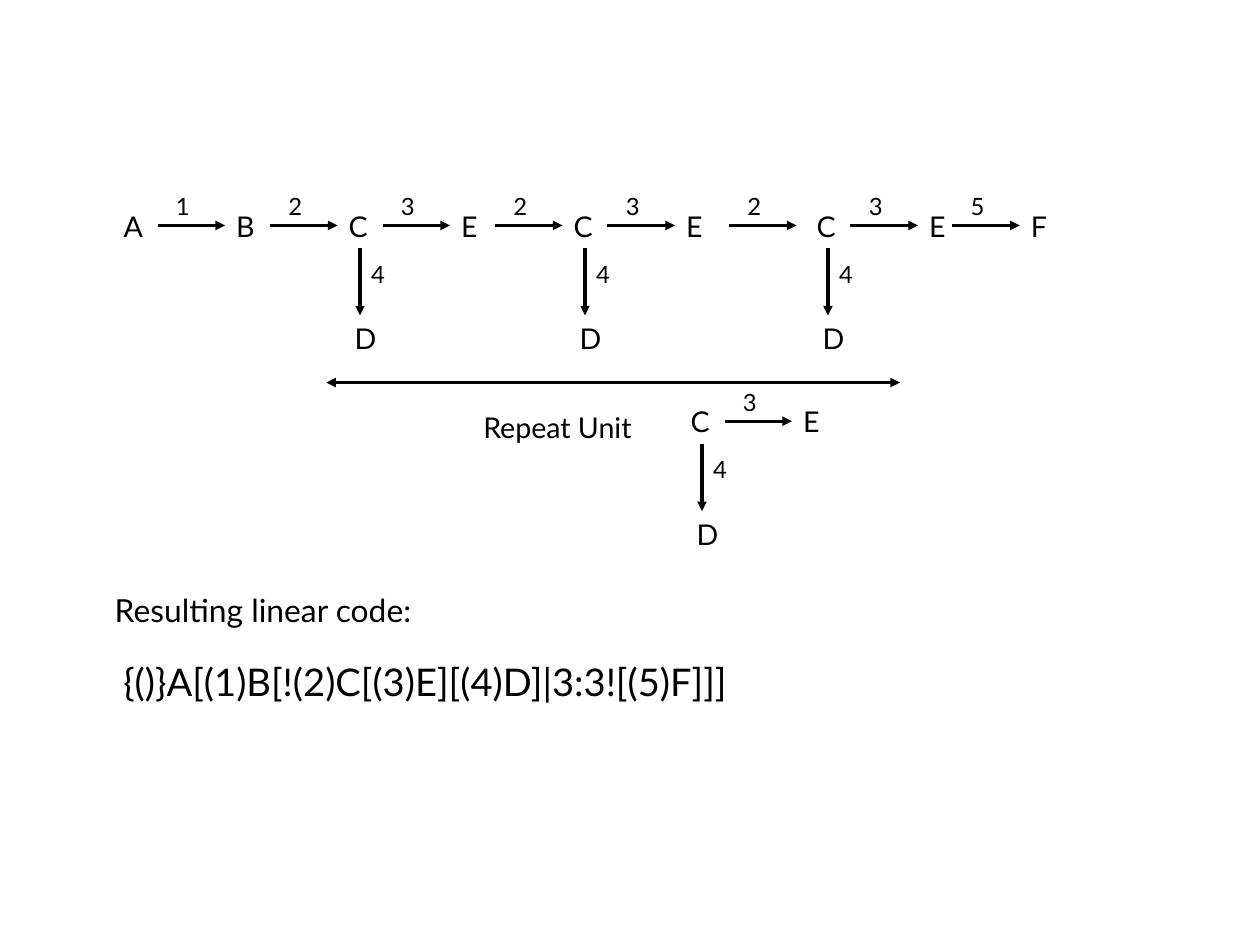
from lxml import etree
from pptx import Presentation
from pptx.dml.color import RGBColor
from pptx.enum.shapes import MSO_CONNECTOR
from pptx.enum.text import MSO_AUTO_SIZE as AUTO
from pptx.oxml.ns import qn
from pptx.util import Cm, Pt

# The slide is a grid of 28 columns and 21 rows, each 1 cm
COLS, ROWS = 28, 21
INK = "000000"
WIDTHS = {"A": 0.96, "B": 0.94, "D": 1, "E": 0.91, "F": 0.86}
STEP = 1.5  # length of every bond arrow


def color(value):
    return RGBColor.from_string(value)


def add_text(s, text, x, y, w, h, size=18, wrap=False):
    sp = s.shapes.add_textbox(Cm(x), Cm(y), Cm(w), Cm(h))
    tf = sp.text_frame
    tf.word_wrap = wrap
    tf.auto_size = AUTO.SHAPE_TO_FIT_TEXT
    r = tf.paragraphs[0].add_run()
    r.text = text
    for key, value in {"name": "Lato", "size": Pt(size)}.items():
        setattr(r.font, key, value)
    r.font.color.rgb = color(INK)
    return sp


def add_arrow(s, x1, y1, x2, y2, ends=("tailEnd",), target=None):
    line = s.shapes.add_connector(MSO_CONNECTOR.STRAIGHT, Cm(x1), Cm(y1), Cm(x2), Cm(y2))
    line.line.color.rgb = color(INK)
    line.line.width = Pt(0)
    ln = line.line._ln
    for end in ends:
        etree.SubElement(ln, qn("a:" + end), type="triangle")
    etree.SubElement(line._element.spPr, qn("a:effectLst"))
    if target is not None:
        line.end_connect(target, 1)


def add_node(s, letter, x, axis):
    return add_text(s, letter, x, axis - 0.5, WIDTHS[letter], 1)


def add_bond(s, label, x, axis, target=None):
    """Horizontal arrow with its number above."""
    add_arrow(s, x, axis, x + STEP, axis, target=target)
    add_text(s, label, x + 0.16, axis - 0.87, 0.84, 0.86, 15)


def add_unit(s, x, axis):
    """C with E to its right and D below."""
    add_text(s, "C", x, axis - 0.5, 3, 3.48, wrap=True)
    add_bond(s, "3", x + 1, axis, add_node(s, "E", x + 2.5, axis))
    add_arrow(s, x + 0.5, axis + 0.5, x + 0.5, axis + 0.5 + STEP)
    add_text(s, "4", x + 0.5, axis + 0.63, 0.84, 0.86, 15)
    add_node(s, "D", x + 0.13, axis + 2.5)


def add_chain(s, x, axis):
    """A, B, three repeat units, then F."""
    add_node(s, "A", x, axis)
    add_bond(s, "1", x + 1, axis, add_node(s, "B", x + 2.5, axis))
    for bond, unit in ((3.5, 5), (8.5, 10), (13.7, 15.4)):
        add_bond(s, "2", x + bond, axis)
        add_unit(s, x + unit, axis)
    add_bond(s, "5", x + 18.66, axis, add_node(s, "F", x + 20.16, axis))


def add_repeat(s, x, y, w):
    """Span of the repeats, with the unit shown beneath."""
    add_arrow(s, x, y, x + w, y, ends=("headEnd", "tailEnd"))
    add_text(s, "Repeat Unit", x + 3.24, y + 0.49, 4.27, 1)
    add_unit(s, x + 7.85, y + 0.86)


def add_code(s, x, y):
    add_text(s, "Resulting linear code:", x, y, 8.2, 1.07, 20)
    add_text(s, "{()}A[(1)B[!(2)C[(3)E][(4)D]|3:3![(5)F]]]",
             x + 0.19, y + 1.5, 17.3, 1.24, 24)


def main():
    prs = Presentation()
    prs.slide_width, prs.slide_height = Cm(COLS), Cm(ROWS)
    s = prs.slides.add_slide(prs.slide_layouts[6])
    add_chain(s, 2.5, 5.01)
    add_repeat(s, 7.25, 8.5, 12.75)
    add_code(s, 2.3, 13)
    prs.save("out.pptx")


if __name__ == "__main__":
    main()
